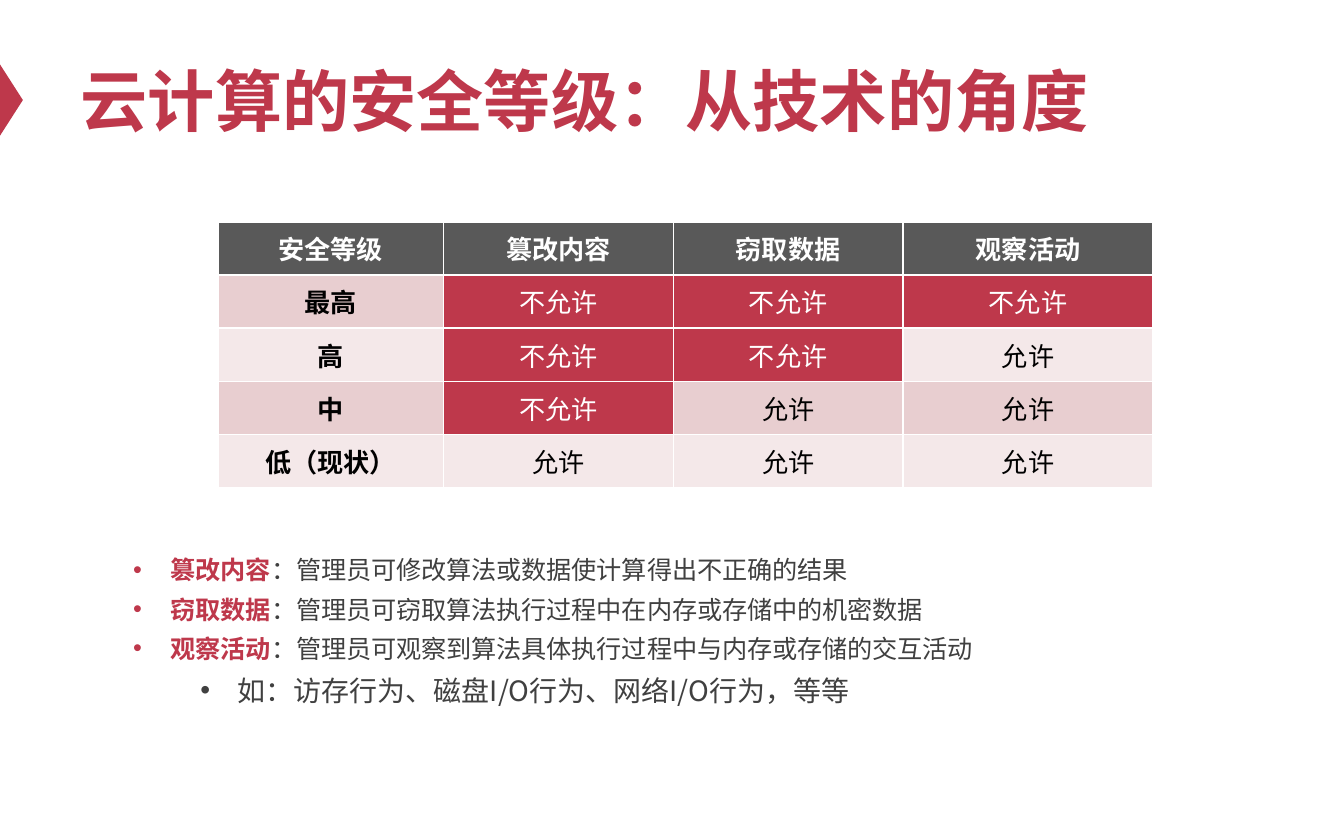
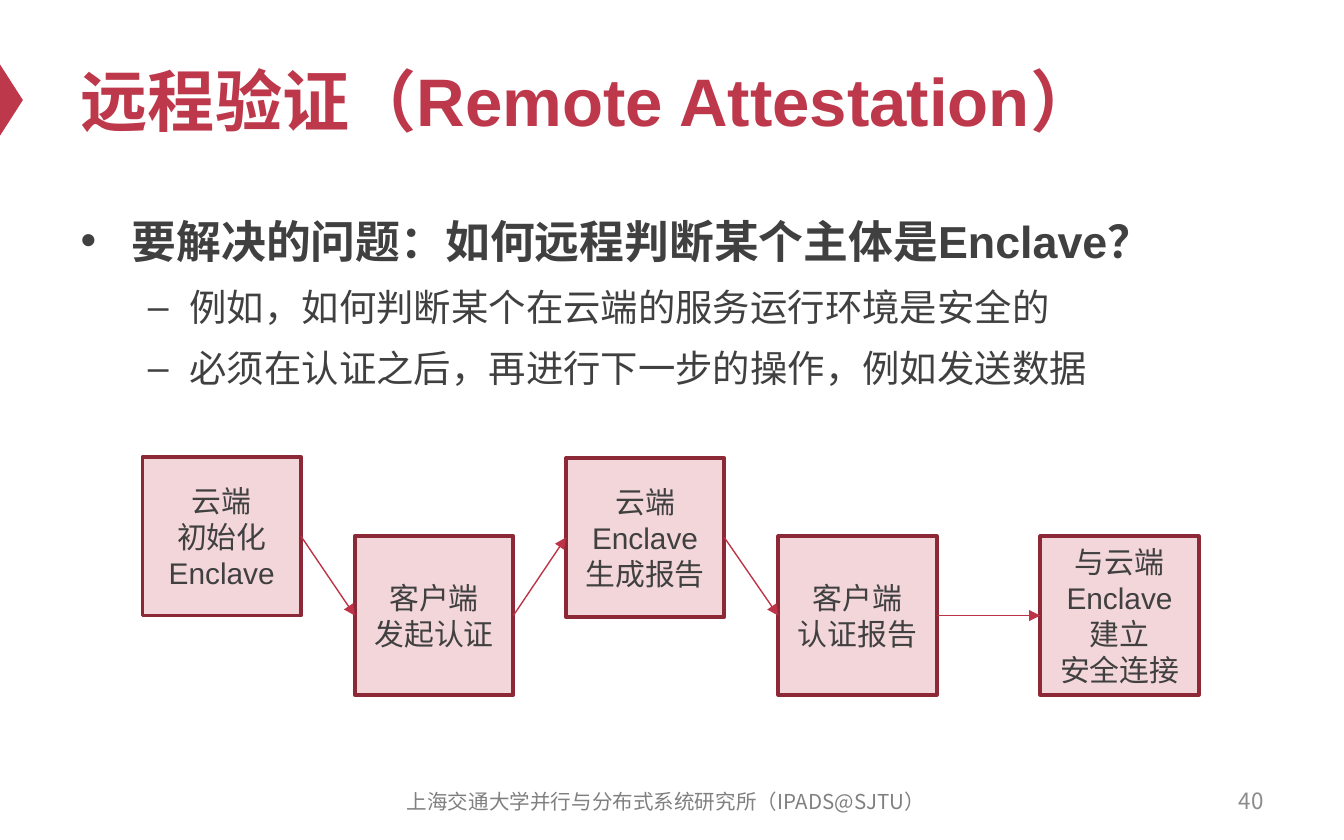
from dataclasses import dataclass

from lxml import etree
from pptx import Presentation
from pptx.dml.color import RGBColor
from pptx.enum import shapes, text
from pptx.oxml import ns
from pptx.util import Inches, Pt


@dataclass(frozen=True)
class Theme:
    # Colours
    accent: str = "BE384B"
    header: str = "595959"
    bands: tuple = ("E8CED0", "F4E8E9")
    body: str = "404040"
    white: str = "FFFFFF"
    black: str = "000000"
    step_fill: str = "F3D6DA"
    step_line: str = "8D2937"
    arrow: str = "BD3347"
    footer: str = "808080"
    number: str = "8C8C8C"
    # Fonts and type sizes
    latin: str = "Arial"
    cjk: str = "Noto Sans CJK SC"
    title_size: float = 36
    point_size: float = 24
    subpoint_size: float = 20
    step_size: float = 16
    example_size: float = 15
    cell_size: float = 14
    term_size: float = 13.5
    number_size: float = 12
    footer_size: float = 11


THEME = Theme()
LEFT, CENTER, RIGHT = text.PP_ALIGN.LEFT, text.PP_ALIGN.CENTER, text.PP_ALIGN.RIGHT
MIDDLE, TOP = text.MSO_ANCHOR.MIDDLE, text.MSO_ANCHOR.TOP


# Shared helpers
def rgb(color):
    return RGBColor.from_string(color)


def style(paragraph, size, color, bold=False, font=THEME.latin, align=LEFT):
    paragraph.alignment = align
    paragraph.font.size = Pt(size)
    paragraph.font.name = font
    paragraph.font.bold = bold
    paragraph.font.color.rgb = rgb(color)


def bullet(paragraph, mark, indent, hanging, spacing, before=0, level=0):
    paragraph.level = level
    props = paragraph._p.get_or_add_pPr()
    props.set("marL", str(Inches(indent)))
    props.set("indent", str(-Inches(hanging)))
    etree.SubElement(props, ns.qn("a:buChar"), char=mark)
    paragraph.line_spacing = spacing
    paragraph.space_before = Pt(before)


def place(shape, box):
    shape.left, shape.top, shape.width, shape.height = map(Inches, box)


def prepare(frame, anchor):
    frame.word_wrap = True
    frame.auto_size = text.MSO_AUTO_SIZE.NONE
    frame.vertical_anchor = anchor


def paragraphs(frame, count):
    return [frame.paragraphs[0]] + [frame.add_paragraph() for _ in range(count - 1)]


# Slide frame: title, side marker and empty list area
def add_slide(deck, heading, list_box):
    slide = deck.slides.add_slide(deck.slide_layouts[1])
    marker = slide.shapes.add_shape(
        shapes.MSO_SHAPE.ISOSCELES_TRIANGLE, *map(Inches, (-0.18, 0.66, 0.53, 0.17)))
    marker.rotation = 90
    marker.shadow.inherit = False
    marker.fill.solid()
    marker.fill.fore_color.rgb = rgb(THEME.accent)
    marker.line.fill.background()

    title = slide.shapes.title
    place(title, (0.5, 0.25, 9, 0.98))
    prepare(title.text_frame, MIDDLE)
    title.text_frame.text = heading
    style(title.text_frame.paragraphs[0], THEME.title_size, THEME.accent, bold=True)

    points = slide.placeholders[1]
    place(points, list_box)
    prepare(points.text_frame, TOP)
    return slide, points.text_frame


def add_footer(slide, box, words, size, color, align):
    footer = slide.shapes.add_textbox(*map(Inches, box))
    prepare(footer.text_frame, MIDDLE)
    footer.text_frame.text = words
    style(footer.text_frame.paragraphs[0], size, color, font=THEME.cjk, align=align)


# Security level table
def fill_cell(cell, words, fill, color, bold):
    cell.fill.solid()
    cell.fill.fore_color.rgb = rgb(fill)
    cell.margin_left = cell.margin_right = Inches(0.07)
    cell.margin_top = cell.margin_bottom = Inches(0.04)
    cell.vertical_anchor = MIDDLE
    cell.text = words
    style(cell.text_frame.paragraphs[0], THEME.cell_size, color, bold, align=CENTER)


def add_levels(slide, box, attacks, levels):
    headings = ["安全等级"] + attacks
    table = slide.shapes.add_table(
        len(levels) + 1, len(headings), *map(Inches, box)).table
    table.horz_banding = False
    for column, width in zip(table.columns, (1.68, 1.71, 1.71, 1.86)):
        column.width = Inches(width)
    for col, heading in enumerate(headings):
        fill_cell(table.cell(0, col), heading, THEME.header, THEME.white, True)
    # Each level down allows one more attack, starting from the right
    for row, level in enumerate(levels):
        band = THEME.bands[row % 2]
        fill_cell(table.cell(row + 1, 0), level, band, THEME.black, True)
        for col in range(len(attacks)):
            cell = table.cell(row + 1, col + 1)
            if col < len(attacks) - row:
                fill_cell(cell, "不允许", THEME.accent, THEME.white, False)
            else:
                fill_cell(cell, "允许", band, THEME.black, False)


def add_terms(frame, terms, example):
    *definitions, last = paragraphs(frame, len(terms) + 1)
    for paragraph, (term, meaning) in zip(definitions, terms.items()):
        bullet(paragraph, "•", 0.28, 0.28, 1.3)
        style(paragraph, THEME.term_size, THEME.body, font=THEME.cjk)
        name = paragraph.add_run()
        name.text = term
        name.font.bold = True
        name.font.color.rgb = rgb(THEME.accent)
        paragraph.add_run().text = "：" + meaning
    bullet(last, "•", 0.78, 0.28, 1.3, level=1)
    last.text = example
    style(last, THEME.example_size, THEME.body, font=THEME.cjk)


def levels_slide(deck):
    slide, frame = add_slide(deck, "云计算的安全等级：从技术的角度",
                             (0.89, 4.01, 8.84, 1.28))
    terms = {
        "篡改内容": "管理员可修改算法或数据使计算得出不正确的结果",
        "窃取数据": "管理员可窃取算法执行过程中在内存或存储中的机密数据",
        "观察活动": "管理员可观察到算法具体执行过程中与内存或存储的交互活动",
    }
    add_levels(slide, (1.62, 1.65, 6.96, 1.98), list(terms),
               ["最高", "高", "中", "低（现状）"])
    add_terms(frame, terms, "如：访存行为、磁盘I/O行为、网络I/O行为，等等")


# Attestation steps
def add_step(slide, left, top, lines, side=1.18):
    step = slide.shapes.add_shape(
        shapes.MSO_SHAPE.RECTANGLE, *map(Inches, (left, top, side, side)))
    step.shadow.inherit = False
    step.fill.solid()
    step.fill.fore_color.rgb = rgb(THEME.step_fill)
    step.line.color.rgb = rgb(THEME.step_line)
    step.line.width = Pt(2)
    prepare(step.text_frame, MIDDLE)
    for paragraph, words in zip(paragraphs(step.text_frame, len(lines)), lines):
        paragraph.text = words
        style(paragraph, THEME.step_size, THEME.body, align=CENTER)
    return step


def add_arrow(slide, start, end):
    arrow = slide.shapes.add_connector(
        shapes.MSO_CONNECTOR.STRAIGHT,
        start.left + start.width, start.top + start.height // 2,
        end.left, end.top + end.height // 2)
    arrow.begin_connect(start, 3)
    arrow.end_connect(end, 1)
    arrow.line.color.rgb = rgb(THEME.arrow)
    arrow.line.width = Pt(0.75)
    etree.SubElement(arrow.line._get_or_add_ln(), ns.qn("a:tailEnd"), type="triangle")
    etree.SubElement(arrow._element.spPr, ns.qn("a:effectLst"))


def add_flow(slide, left, top):
    # Offsets from the flow's corner, then the paragraphs of each step
    steps = [
        (0, 0, ["云端\n初始化", "Enclave"]),
        (1.58, 0.59, ["客户端\n发起认证"]),
        (3.15, 0.01, ["云端", "Enclave\n生成报告"]),
        (4.73, 0.59, ["客户端\n认证报告"]),
        (6.68, 0.59, ["与云端", "Enclave", "建立", "安全连接"]),
    ]
    boxes = [add_step(slide, left + x, top + y, lines) for x, y, lines in steps]
    for start, end in zip(boxes, boxes[1:]):
        add_arrow(slide, start, end)


def add_question(frame, question, details):
    first, *rest = paragraphs(frame, len(details) + 1)
    bullet(first, "•", 0.38, 0.38, 1.2)
    first.text = question
    style(first, THEME.point_size, THEME.body, bold=True)
    for paragraph, detail in zip(rest, details):
        bullet(paragraph, "–", 0.81, 0.31, 1.2, before=4, level=1)
        paragraph.text = detail
        style(paragraph, THEME.subpoint_size, THEME.body)


def attestation_slide(deck):
    slide, frame = add_slide(deck, "远程验证（Remote Attestation）", (0.5, 1.46, 9, 1.9))
    add_question(frame, "要解决的问题：如何远程判断某个主体是Enclave？", [
        "例如，如何判断某个在云端的服务运行环境是安全的",
        "必须在认证之后，再进行下一步的操作，例如发送数据",
    ])
    add_footer(slide, (7.17, 5.79, 2.33, 0.33), "40",
               THEME.number_size, THEME.number, RIGHT)
    add_footer(slide, (2.79, 5.8, 4.33, 0.33),
               "上海交通大学并行与分布式系统研究所（IPADS@SJTU）",
               THEME.footer_size, THEME.footer, CENTER)
    add_flow(slide, 1.06, 3.4)


def main():
    deck = Presentation()
    deck.slide_width, deck.slide_height = Inches(10), Inches(6.25)
    levels_slide(deck)
    attestation_slide(deck)
    deck.save("out.pptx")


if __name__ == "__main__":
    main()
